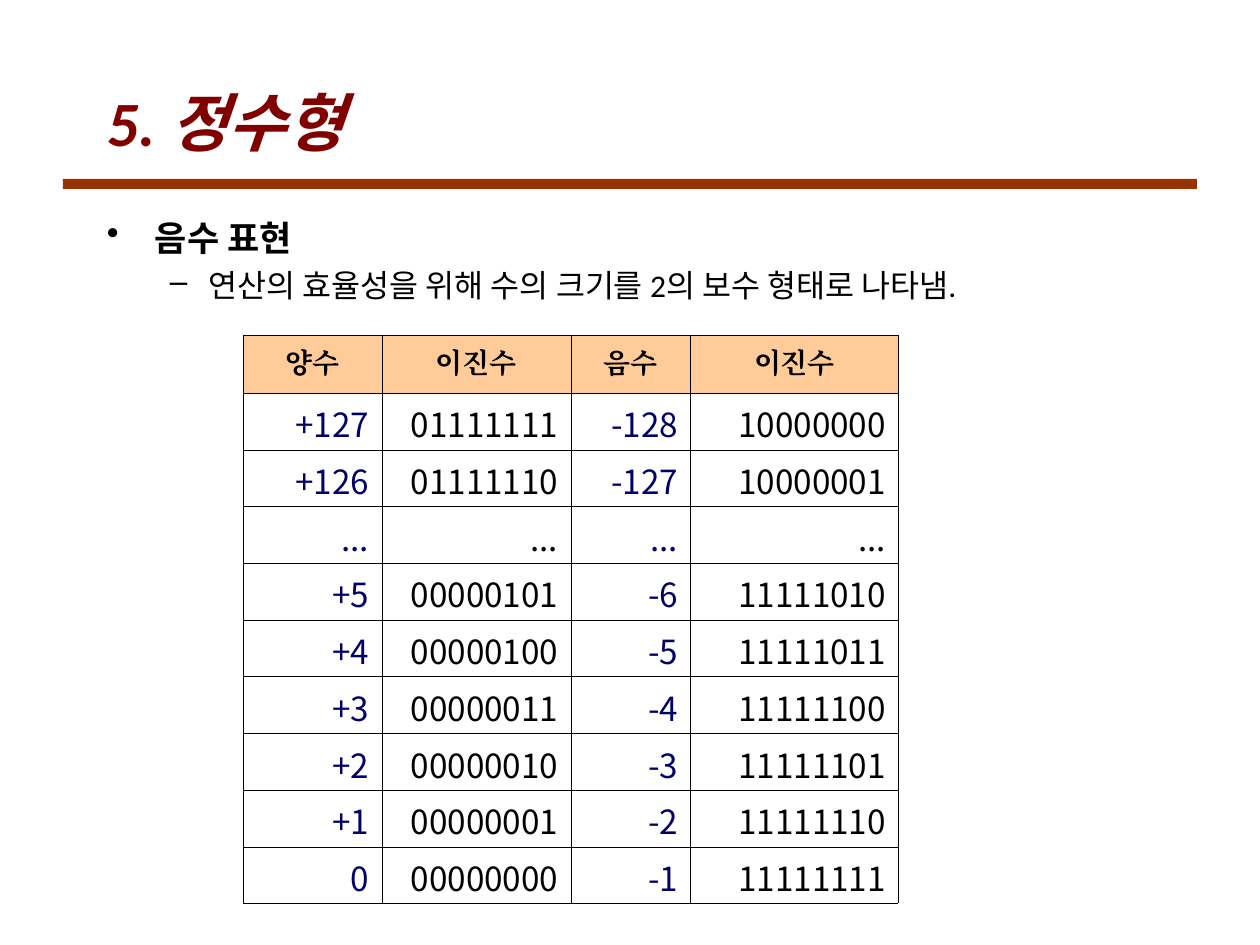
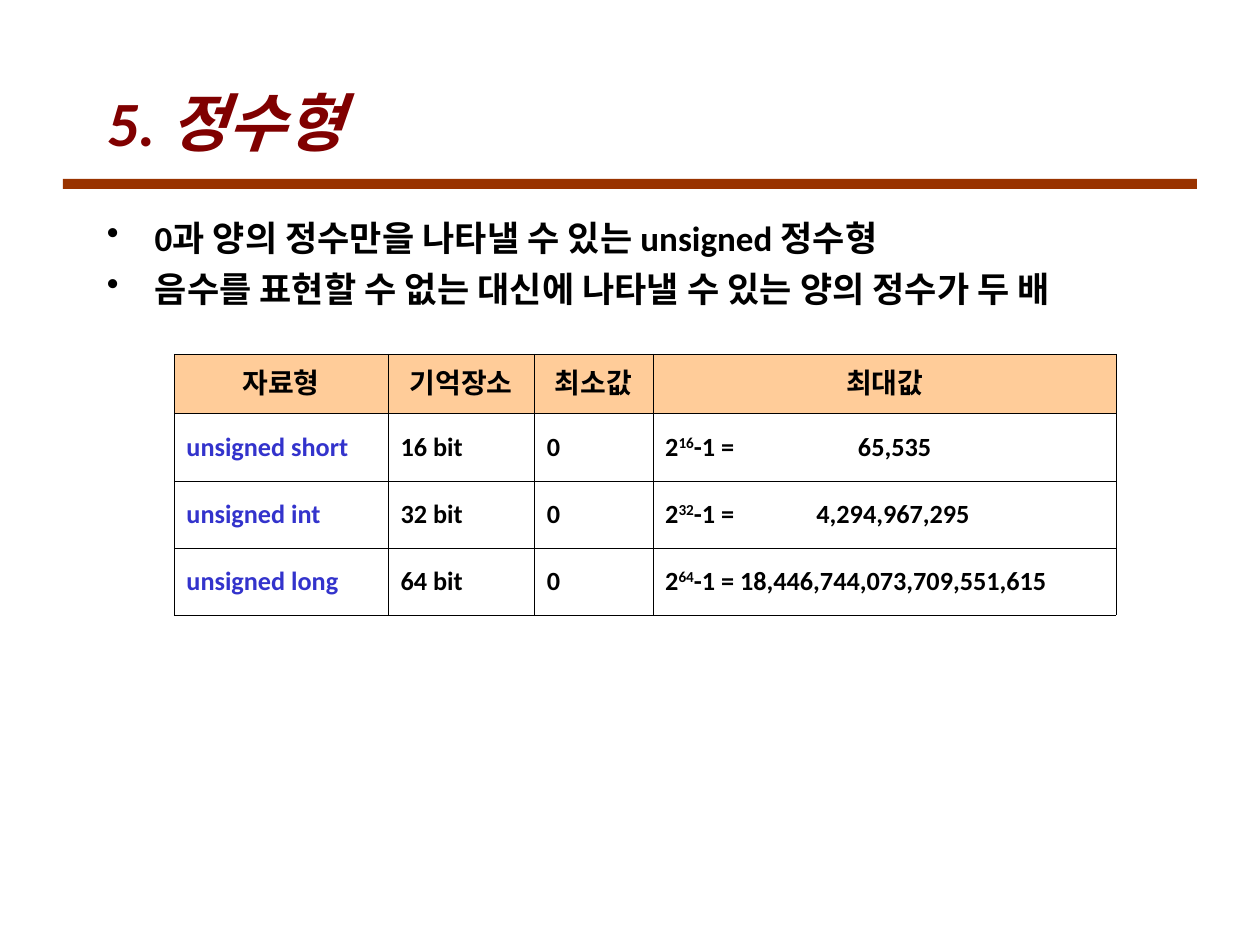
from dataclasses import dataclass

import pptx
import pptx.dml.color
import pptx.enum.shapes
import pptx.enum.text
import pptx.oxml
import pptx.oxml.ns
import pptx.util

Inches = pptx.util.Inches
Pt = pptx.util.Pt
Align = pptx.enum.text.PP_ALIGN
Anchor = pptx.enum.text.MSO_ANCHOR


@dataclass(frozen=True)
class Theme:
    title_color: str = "800000"
    band: str = "993300"
    header_fill: str = "FFCC99"
    ink: str = "000000"
    navy: str = "000066"
    keyword: str = "3333CC"
    font: str = "Calibri"
    header_serif: str = "Times New Roman"
    digits_font: str = "Noto Sans CJK KR"
    title_size: int = 36
    point_size: int = 20
    detail_size: int = 18
    digits_size: int = 19
    header_size: int = 16
    cell_size: int = 15
    border_pt: float = 0.06


THEME = Theme()


def rgb(value):
    return pptx.dml.color.RGBColor.from_string(value)


def add_xml(parent, tag, **attributes):
    child = pptx.oxml.parse_xml(f'<a:{tag} {pptx.oxml.ns.nsdecls("a")}/>')
    for name, value in attributes.items():
        child.set(name, str(value))
    parent.append(child)
    return child


def write_text(paragraph, text, size, font=THEME.font, color=THEME.ink,
               bold=True, italic=False, align=None, superscript=False):
    """Append one formatted run to a paragraph."""
    run = paragraph.add_run()
    run.text = text
    run.font.size, run.font.name = Pt(size), font
    run.font.bold, run.font.italic = bold, italic
    run.font.color.rgb = rgb(color)
    properties = run._r.get_or_add_rPr()
    add_xml(properties, "ea", typeface=font)
    if superscript:
        properties.set("baseline", "30000")
    if align is not None:
        paragraph.alignment = align


class Deck:
    """Holds the theme and the slide being filled."""

    def __init__(self, theme):
        self.theme = theme
        self.presentation = pptx.Presentation()
        self.presentation.slide_width = Inches(10)
        self.presentation.slide_height = Inches(7.5)
        self.slide = None

    def new_slide(self, title):
        self.slide = self.presentation.slides.add_slide(
            self.presentation.slide_layouts[6])
        self.band()
        frame = self.text_frame(0.75, 0.5, 8.5, 0.92)
        frame.vertical_anchor = Anchor.MIDDLE
        write_text(frame.paragraphs[0], title, self.theme.title_size,
                   color=self.theme.title_color, italic=True)

    def band(self):
        band = self.slide.shapes.add_shape(
            pptx.enum.shapes.MSO_SHAPE.RECTANGLE,
            Inches(0.5), Inches(1.42), Inches(9), Inches(0.08))
        band.shadow.inherit = False
        band.fill.solid()
        band.fill.fore_color.rgb = rgb(self.theme.band)
        band.line.fill.background()

    def text_frame(self, left, top, width, height):
        frame = self.slide.shapes.add_textbox(
            Inches(left), Inches(top), Inches(width), Inches(height)).text_frame
        frame.word_wrap = True
        return frame

    def outline(self, items, width, height):
        """Bulleted list of (level, text) pairs."""
        styles = [("•", 0.38, 0.38, 5, self.theme.point_size, True),
                  ("–", 0.81, 0.31, 4.5, self.theme.detail_size, False)]
        frame = self.text_frame(0.75, 1.67, width, height)
        for index, (level, text) in enumerate(items):
            mark, indent, hanging, gap, size, bold = styles[level]
            paragraph = frame.add_paragraph() if index else frame.paragraphs[0]
            properties = paragraph._p.get_or_add_pPr()
            properties.set("marL", str(Inches(indent)))
            properties.set("indent", str(-Inches(hanging)))
            add_xml(add_xml(properties, "buClr"), "srgbClr", val=self.theme.ink)
            add_xml(properties, "buChar", char=mark)
            paragraph.level = level
            if index:
                paragraph.space_before = Pt(gap)
            write_text(paragraph, text, size, bold=bold)

    def table(self, left, top, widths, heights):
        table = self.slide.shapes.add_table(
            len(heights), len(widths), Inches(left), Inches(top),
            Inches(sum(widths)), Inches(sum(heights))).table
        table.first_row = table.horz_banding = False
        for column, width in zip(table.columns, widths):
            column.width = Inches(width)
        for row, height in zip(table.rows, heights):
            row.height = Inches(height)
        for cell in table.iter_cells():
            self.borders(cell)
            cell.fill.background()
            cell.vertical_anchor = Anchor.MIDDLE
        return table

    def borders(self, cell):
        properties = cell._tc.get_or_add_tcPr()
        for side in ("lnL", "lnR", "lnT", "lnB"):
            line = add_xml(properties, side, w=Pt(self.theme.border_pt))
            add_xml(add_xml(line, "solidFill"), "srgbClr", val=self.theme.ink)

    def header_row(self, table, labels, font):
        for column, label in enumerate(labels):
            cell = table.cell(0, column)
            cell.fill.solid()
            cell.fill.fore_color.rgb = rgb(self.theme.header_fill)
            write_text(cell.text_frame.paragraphs[0], label,
                       self.theme.header_size, font=font, align=Align.CENTER)


def negative_numbers(deck):
    theme = deck.theme
    deck.new_slide("5. 정수형")
    deck.outline([(0, "음수 표현"),
                  (1, "연산의 효율성을 위해 수의 크기를 2의 보수 형태로 나타냄.")],
                 8.66, 0.9)

    # Each number stands beside its bitwise complement, -n - 1
    numbers = [127, 126, None, 5, 4, 3, 2, 1, 0]
    table = deck.table(1.93, 2.66, [1.1, 1.5, 0.95, 1.65],
                       [0.46] + [0.45] * len(numbers))
    deck.header_row(table, ["양수", "이진수", "음수", "이진수"], theme.header_serif)
    for row, number in enumerate(numbers, 1):
        if number is None:
            values = ["..."] * 4
        else:
            values = [f"{number:+}" if number else "0", f"{number:08b}",
                      str(-number - 1), f"{255 - number:08b}"]
        for column, value in enumerate(values):
            write_text(table.cell(row, column).text_frame.paragraphs[0], value,
                       theme.digits_size, font=theme.digits_font, bold=False,
                       color=theme.ink if column % 2 else theme.navy,
                       align=Align.RIGHT)


def unsigned_types(deck):
    theme = deck.theme
    deck.new_slide("5. 정수형")
    deck.outline([(0, "0과 양의 정수만을 나타낼 수 있는 unsigned 정수형"),
                  (0, "음수를 표현할 수 없는 대신에 나타낼 수 있는 양의 정수가 두 배")],
                 8.5, 5.17)

    # Type name, bit count and where the largest value starts (None: in line)
    types = [("short", 16, 1.53), ("int", 32, 1.2), ("long", 64, None)]
    table = deck.table(1.38, 2.81, [1.7, 1.16, 0.94, 3.68],
                       [0.47, 0.54, 0.53, 0.53])
    deck.header_row(table, ["자료형", "기억장소", "최소값", "최대값"], theme.font)
    for row, (name, bits, value_start) in enumerate(types, 1):
        cells = [table.cell(row, column).text_frame.paragraphs[0]
                 for column in range(4)]
        for column, text in enumerate([f"unsigned {name}", f"{bits} bit", "0", "2"]):
            write_text(cells[column], text, theme.cell_size, align=Align.JUSTIFY,
                       color=theme.ink if column else theme.keyword)
        maximum = cells[3]
        gap = " "
        if value_start:
            gap = "\t"
            tabs = add_xml(maximum._p.get_or_add_pPr(), "tabLst")
            add_xml(tabs, "tab", pos=Inches(value_start), algn="l")
        write_text(maximum, str(bits), theme.cell_size, superscript=True)
        write_text(maximum, f"-1 ={gap}{2 ** bits - 1:,}", theme.cell_size)


def main():
    deck = Deck(THEME)
    negative_numbers(deck)
    unsigned_types(deck)
    deck.presentation.save("out.pptx")


if __name__ == "__main__":
    main()
